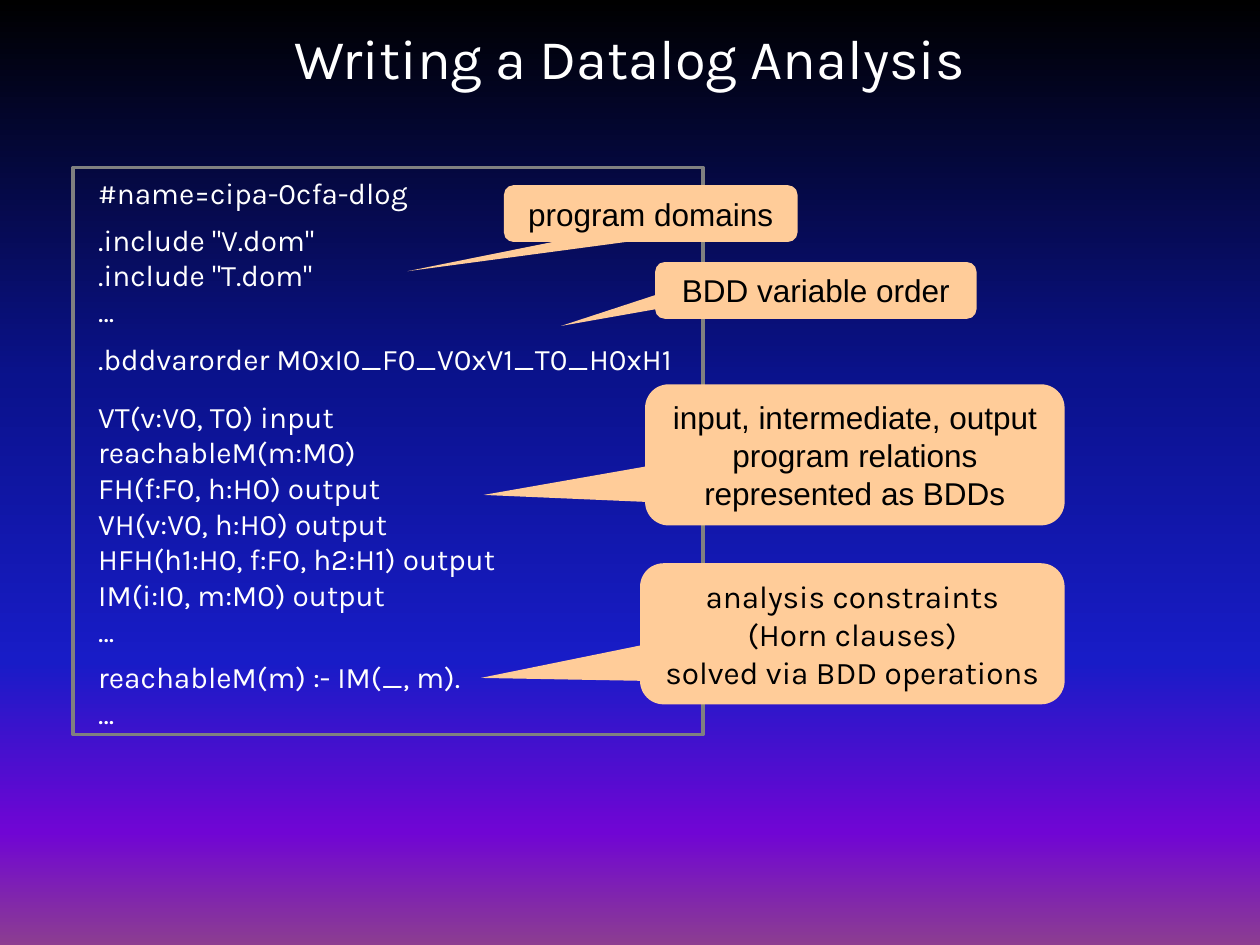
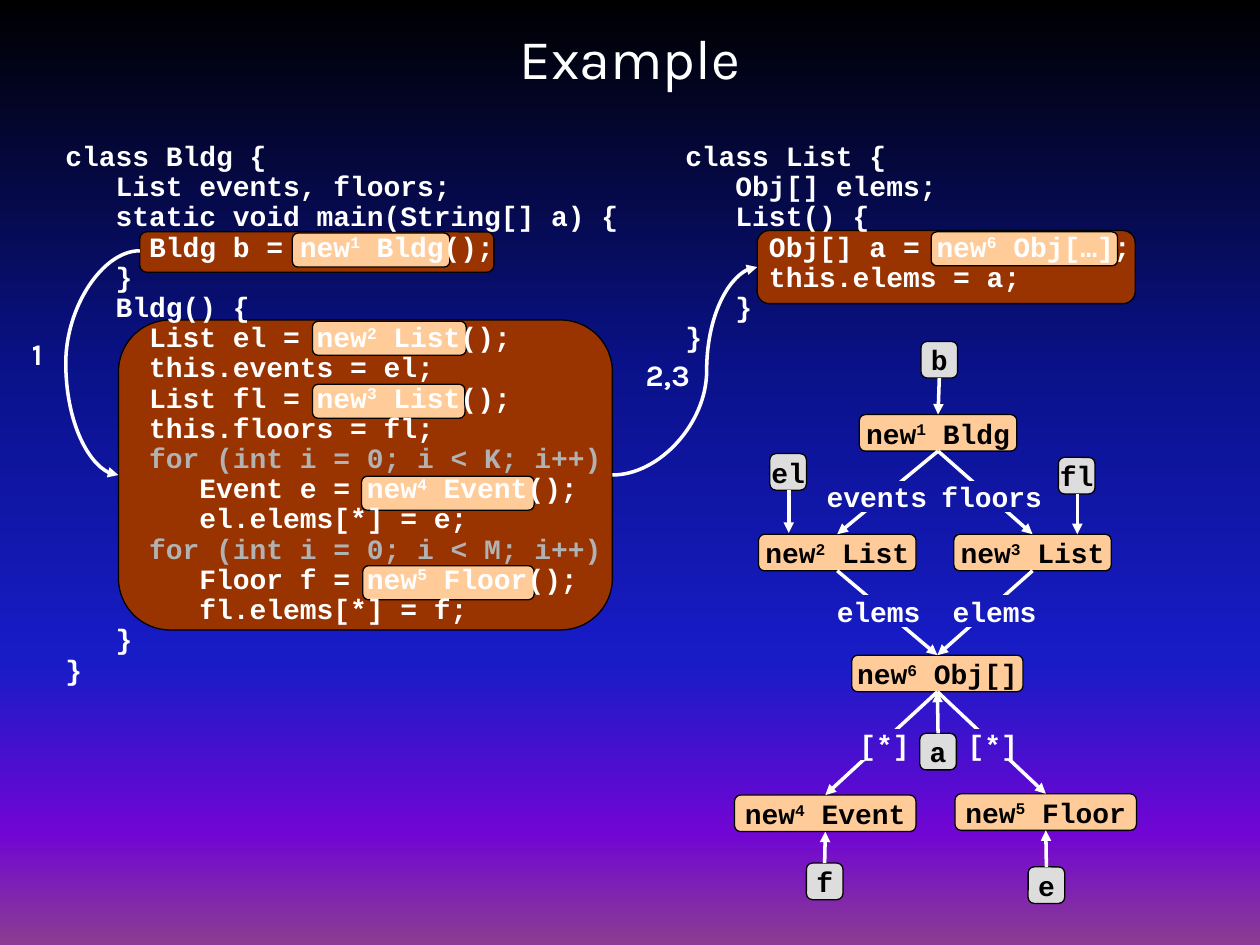
from lxml.etree import SubElement
from pptx import Presentation
from pptx.dml.color import RGBColor
from pptx.enum.shapes import MSO_CONNECTOR, MSO_SHAPE
from pptx.enum.text import MSO_ANCHOR, PP_ALIGN
from pptx.oxml import parse_xml
from pptx.oxml.ns import nsdecls, qn
from pptx.util import Inches, Pt

WHITE = RGBColor(0xFF, 0xFF, 0xFF)
BLACK = RGBColor(0x00, 0x00, 0x00)
GRAY = RGBColor(0x80, 0x80, 0x80)
LOOP_GRAY = RGBColor(0xB2, 0xB2, 0xB2)
VARIABLE_GRAY = RGBColor(0xDD, 0xDD, 0xDD)
PEACH = RGBColor(0xFF, 0xCC, 0x99)
BROWN = RGBColor(0x99, 0x33, 0x00)
BACKDROP = [(0, RGBColor(0x00, 0x00, 0x00)), (40, RGBColor(0x0A, 0x12, 0x8C)),
            (70, RGBColor(0x18, 0x1C, 0xC7)), (88, RGBColor(0x70, 0x05, 0xD4)),
            (100, RGBColor(0x8C, 0x3D, 0x91))]

KARLA, ARIAL, MONO = "Karla", "Arial", "Courier New"
CHAR_WIDTH = 0.1333  # one 16 pt monospaced character, in inches
TOP, BOTTOM = 0, 2   # connection sites of a rounded rectangle

# Space before each line (points), line of the analysis
DATALOG = [
    (0, "#name=cipa-0cfa-dlog"),
    (6, ".include \"V.dom\""),
    (0, ".include \"T.dom\""),
    (0, "..."),
    (7, ".bddvarorder M0xI0_F0_V0xV1_T0_H0xH1"),
    (12.5, "VT(v:V0, T0) input"),
    (0, "reachableM(m:M0)"),
    (0, "FH(f:F0, h:H0) output"),
    (0, "VH(v:V0, h:H0) output"),
    (0, "HFH(h1:H0, f:F0, h2:H1) output"),
    (0, "IM(i:I0, m:M0) output"),
    (0, "..."),
    (6, "reachableM(m) :- IM(_, m)."),
    (0, "..."),
]

# In code and node names, the character after ^ is a superscript
BLDG_CODE = """class Bldg {
   List events, floors;
   static void main(String[] a) {
     Bldg b = new^1 Bldg();
   }
   Bldg() {
     List el = new^2 List();
     this.events = el;
     List fl = new^3 List();
     this.floors = fl;
     for (int i = 0; i < K; i++)
        Event e = new^4 Event();
        el.elems[*] = e;
     for (int i = 0; i < M; i++)
        Floor f = new^5 Floor();
        fl.elems[*] = f;
   }
}"""
LIST_CODE = """class List {
   Obj[] elems;
   List() {
     Obj[] a = new^6 Obj[…];
     this.elems = a;
   }
}"""


def set_backdrop(prs):
    fill = prs.slide_master.background.fill
    fill.gradient()
    fill.gradient_angle = 270
    stops = fill._fill._gradFill.find(qn("a:gsLst"))
    for stop in list(stops):
        stops.remove(stop)
    for percent, color in BACKDROP:
        stops.append(parse_xml(
            f'<a:gs {nsdecls("a")} pos="{percent * 1000}">'
            f'<a:srgbClr val="{color}"/></a:gs>'))


def style_font(p, name, size, color, bold=False):
    p.font.name = name
    p.font.size = Pt(size)
    p.font.color.rgb = color
    p.font.bold = bold


def add_slide(prs, title):
    s = prs.slides.add_slide(prs.slide_layouts[5])
    sp = s.shapes.title
    sp.left, sp.top = Inches(0), Inches(0.08)
    sp.width, sp.height = Inches(10), Inches(0.75)
    tf = sp.text_frame
    tf.text = title
    tf.vertical_anchor = MSO_ANCHOR.MIDDLE
    p = tf.paragraphs[0]
    p.alignment = PP_ALIGN.CENTER
    style_font(p, KARLA, 32, WHITE)
    return s


def add_box(s, kind, x, y, w, h, fill=None, line=None, line_width=0.75):
    sp = s.shapes.add_shape(kind, Inches(x), Inches(y), Inches(w), Inches(h))
    sp.shadow.inherit = False
    if fill is None:
        sp.fill.background()
    else:
        sp.fill.solid()
        sp.fill.fore_color.rgb = fill
    if line is None:
        sp.line.fill.background()
    else:
        sp.line.color.rgb = line
        sp.line.width = Pt(line_width)
    return sp


def add_rounded(s, x, y, w, h, fill):
    return add_box(s, MSO_SHAPE.ROUNDED_RECTANGLE, x, y, w, h, fill, BLACK)


def write_centered(sp, text, name, size, color, bold=False):
    tf = sp.text_frame
    tf.word_wrap = False
    tf.vertical_anchor = MSO_ANCHOR.MIDDLE
    tf.text = text
    for p in tf.paragraphs:
        p.alignment = PP_ALIGN.CENTER
        style_font(p, name, size, color, bold)


def write_code_line(p, text, color):
    head, *rest = text.split("^")
    p.add_run().text = head
    for part in rest:
        r = p.add_run()
        r.text = part[0]
        r.font._element.set("baseline", "30000")
        p.add_run().text = part[1:]
    style_font(p, MONO, 16, color, True)


def add_callout(s, x, y, w, h, tip, text, font):
    sp = add_box(s, MSO_SHAPE.ROUNDED_RECTANGULAR_CALLOUT, x, y, w, h, PEACH)
    sp.adjustments[0], sp.adjustments[1] = tip
    write_centered(sp, text, font, 18, BLACK)


def add_code(s, x, y, w, h, code):
    tf = s.shapes.add_textbox(Inches(x), Inches(y), Inches(w), Inches(h)).text_frame
    tf.word_wrap = True
    for i, line in enumerate(code.split("\n")):
        p = tf.add_paragraph() if i else tf.paragraphs[0]
        p.line_spacing = 0.9
        is_loop = line.lstrip().startswith("for ")
        write_code_line(p, line, LOOP_GRAY if is_loop else WHITE)


def add_node(s, x, y, w, text, fill):
    sp = add_rounded(s, x, y, w, 0.29, fill)
    tf = sp.text_frame
    tf.word_wrap = False
    tf.vertical_anchor = MSO_ANCHOR.MIDDLE
    p = tf.paragraphs[0]
    p.alignment = PP_ALIGN.CENTER
    write_code_line(p, text, BLACK)
    return sp


def add_arrow(s, start=(0, 0), end=(0, 0), kind=MSO_CONNECTOR.STRAIGHT):
    c = s.shapes.add_connector(kind, *map(Inches, start + end))
    c.line.color.rgb = WHITE
    c.line.width = Pt(2)
    SubElement(c.line._get_or_add_ln(), qn("a:tailEnd"), type="triangle")
    SubElement(c._element.spPr, qn("a:effectLst"))
    return c


def add_curve(s, start, end, bend):
    c = add_arrow(s, start, end, MSO_CONNECTOR.CURVE)
    guides = c._element.spPr.find(qn("a:prstGeom")).get_or_add_avLst()
    SubElement(guides, qn("a:gd"), name="adj1", fmla=f"val {round(bend * 100000)}")


def add_edge_label(s, x, y, text):
    sp = s.shapes.add_shape(MSO_SHAPE.RECTANGLE, Inches(x), Inches(y),
                            Inches(len(text) * CHAR_WIDTH), Inches(0.24))
    sp.shadow.inherit = False
    sp.line.fill.background()
    sp._element.set("useBgFill", "1")  # hides the arrow behind the label
    tf = sp.text_frame
    tf.margin_left = tf.margin_right = tf.margin_top = tf.margin_bottom = 0
    write_centered(sp, text, MONO, 16, WHITE, True)


def add_step(s, x, y, w, text):
    sp = s.shapes.add_textbox(Inches(x), Inches(y), Inches(w), Inches(0.38))
    write_centered(sp, text, KARLA, 17, WHITE, True)


def build_analysis(prs):
    s = add_slide(prs, "Writing a Datalog Analysis")

    # Framed Datalog program
    frame = add_box(s, MSO_SHAPE.RECTANGLE, 0.58, 1.33, 5, 4.5, None, GRAY, 2)
    tf = frame.text_frame
    tf.word_wrap = False
    tf.vertical_anchor = MSO_ANCHOR.TOP
    tf.margin_left = tf.margin_right = Inches(0.2)
    tf.margin_top, tf.margin_bottom = Inches(0.06), Inches(0.02)
    for i, (gap, line) in enumerate(DATALOG):
        p = tf.add_paragraph() if i else tf.paragraphs[0]
        p.text = line
        p.alignment = PP_ALIGN.LEFT
        if gap:
            p.space_before = Pt(gap)
        style_font(p, KARLA, 17, WHITE)

    # Callouts
    add_callout(s, 5.08, 4.47, 3.37, 1.12, (-0.875, 0.313),
                "analysis constraints\n(Horn clauses)\nsolved via BDD operations", KARLA)
    add_callout(s, 5.12, 3.05, 3.33, 1.12, (-0.885, 0.284),
                "input, intermediate, output\nprogram relations\nrepresented as BDDs", ARIAL)
    add_callout(s, 5.2, 2.08, 2.55, 0.45, (-0.793, 0.626), "BDD variable order", ARIAL)
    add_callout(s, 4, 1.47, 2.33, 0.45, (-0.829, 1.017), "program domains", ARIAL)


def build_example(prs):
    s = add_slide(prs, "Example")

    # Method bodies, allocation sites, then the code on top
    for body in [(6.01, 1.83, 3, 0.58), (0.94, 2.54, 3.92, 2.46), (1.11, 1.84, 2.81, 0.32)]:
        add_rounded(s, *body, BROWN)
    for x, y, w in [(7.39, 1.84, 1.48), (2.32, 1.85, 1.25), (2.48, 2.55, 1.22),
                    (2.48, 3.05, 1.21), (2.87, 3.78, 1.37), (2.88, 4.49, 1.36)]:
        add_rounded(s, x, y, w, 0.27, PEACH)
    add_code(s, 5.34, 1.08, 3.92, 1.74, LIST_CODE)
    add_code(s, 0.42, 1.08, 4.75, 4.39, BLDG_CODE)

    # Calls between methods
    add_curve(s, (1.11, 1.99), (0.94, 3.77), 3.454)
    add_curve(s, (4.86, 3.77), (6.01, 2.12), 0.651)
    add_step(s, 0.12, 2.62, 0.35, "1")
    add_step(s, 5.01, 2.78, 0.58, "2,3")

    # Points-to graph: objects and variables
    nodes = {}
    for x, y, w, name in [(6.82, 3.29, 1.25, "new^1 Bldg"), (6.02, 4.24, 1.25, "new^2 List"),
                          (7.57, 4.24, 1.25, "new^3 List"), (6.76, 5.2, 1.36, "new^6 Obj[]"),
                          (5.83, 6.31, 1.44, "new^4 Event"), (7.58, 6.3, 1.44, "new^5 Floor")]:
        nodes[name[4]] = add_node(s, x, y, w, name, PEACH)
    for x, y, name in [(7.31, 2.71, "b"), (6.11, 3.6, "el"), (8.4, 3.63, "fl"),
                       (7.3, 5.82, "a"), (6.4, 6.85, "f"), (8.16, 6.88, "e")]:
        nodes[name] = add_node(s, x, y, 0.29, name, VARIABLE_GRAY)

    # Arrows that run down, then arrows that run up
    down = [("b", "1"), ("1", "2"), ("1", "3"), ("2", "6"), ("3", "6"), ("6", "4"), ("6", "5")]
    up = [("a", "6"), ("f", "4"), ("e", "5")]
    for pairs, leave, enter in [(down, BOTTOM, TOP), (up, TOP, BOTTOM)]:
        for source, target in pairs:
            c = add_arrow(s)
            c.begin_connect(nodes[source], leave)
            c.end_connect(nodes[target], enter)
    add_arrow(s, (6.26, 3.89), (6.26, 4.23))
    add_arrow(s, (8.55, 3.92), (8.55, 4.24))

    # Field names on the arrows
    for x, y, field in [(6.56, 3.82, "events"), (7.47, 3.82, "floors"), (6.64, 4.73, "elems"),
                        (7.56, 4.73, "elems"), (6.82, 5.79, "[*]"), (7.68, 5.79, "[*]")]:
        add_edge_label(s, x, y, field)


def main():
    prs = Presentation()
    prs.slide_width, prs.slide_height = Inches(10), Inches(7.5)
    set_backdrop(prs)
    build_analysis(prs)
    build_example(prs)
    prs.save("out.pptx")


if __name__ == "__main__":
    main()
